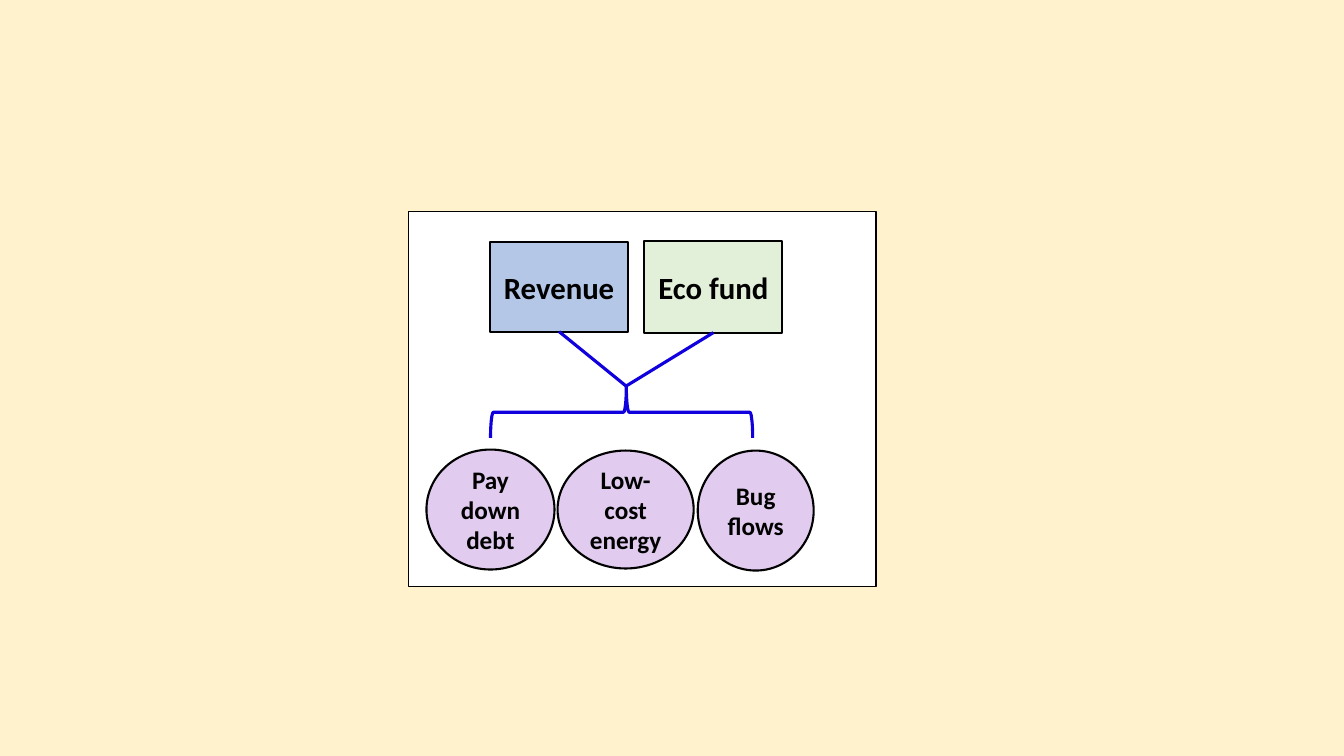
import pptx
import pptx.util
import pptx.dml.color
import pptx.enum.shapes
import pptx.enum.text
import pptx.oxml.ns
from lxml import etree

RGB = pptx.dml.color.RGBColor
KIND = pptx.enum.shapes.MSO_SHAPE
CREAM = RGB(0xFF, 0xF2, 0xCC)
WHITE = RGB(0xFF, 0xFF, 0xFF)
BLACK = RGB(0, 0, 0)
SKY = RGB(0xB4, 0xC7, 0xE7)
GREEN = RGB(0xE2, 0xF0, 0xD9)
LILAC = RGB(0xE1, 0xCC, 0xF0)
BLUE = RGB(0x10, 0x00, 0xDE)


class Chart:
    FONT = "Calibri"
    SCALE = 9144  # EMU per px, 100 px to the inch

    def __init__(self, slide):
        self.slide = slide

    @classmethod
    def px(cls, *sizes):
        return [pptx.util.Emu(size * cls.SCALE) for size in sizes]

    def ground(self, color):
        fill = self.slide.background.fill
        fill.solid()
        fill.fore_color.rgb = color

    def pen(self, item, color, width):
        item.line.color.rgb = color
        item.line.width = pptx.util.Pt(width)

    def shape(self, kind, place, fill=None, line=BLACK, width=1.5):
        item = self.slide.shapes.add_shape(kind, *self.px(*place))
        item.shadow.inherit = False
        if fill is None:
            item.fill.background()
        else:
            item.fill.solid()
            item.fill.fore_color.rgb = fill
        self.pen(item, line, width)
        return item

    def node(self, kind, place, fill, text, size):
        item = self.shape(kind, place, fill)
        frame = item.text_frame
        frame.word_wrap = True
        frame.vertical_anchor = pptx.enum.text.MSO_ANCHOR.MIDDLE
        para = frame.paragraphs[0]
        para.text = text
        para.alignment = pptx.enum.text.PP_ALIGN.CENTER
        font = para.font
        font.name = self.FONT
        font.size = pptx.util.Pt(size)
        font.bold = True
        font.color.rgb = BLACK
        return item

    def brace(self, place):
        item = self.shape(KIND.LEFT_BRACE, place, line=BLUE, width=2.25)
        item.rotation = 90
        item.adjustments[0] = 0.055
        item.adjustments[1] = 0.482

    def link(self, box, end):
        start = (box.left + box.width // 2, box.top + box.height)
        line = self.slide.shapes.add_connector(
            pptx.enum.shapes.MSO_CONNECTOR.STRAIGHT, *start, *self.px(*end))
        line.begin_connect(box, 2)
        self.pen(line, BLUE, 2.25)
        etree.SubElement(line._element.spPr, pptx.oxml.ns.qn("a:effectLst"))


def main():
    deck = pptx.Presentation()
    deck.slide_width, deck.slide_height = Chart.px(1333, 750)
    chart = Chart(deck.slides.add_slide(deck.slide_layouts[6]))

    # Background and panel
    chart.ground(CREAM)
    chart.shape(KIND.RECTANGLE, (405, 210, 464, 372), WHITE, width=1)

    # Sources of money
    boxes = [chart.node(KIND.RECTANGLE, place, fill, text, 22)
             for place, fill, text in (
                 ((486, 240, 137, 89), SKY, "Revenue"),
                 ((639, 239, 137, 91), GREEN, "Eco fund"))]

    # Uses of money
    for place, text in (((423, 446, 127, 119), "Pay down debt"),
                        ((553, 447, 135, 117), "Low-cost energy"),
                        ((692, 447, 115, 119), "Bug flows")):
        chart.node(KIND.OVAL, place, LILAC, text, 18)

    # Brace over the uses, joined to the sources
    chart.brace((591, 279, 51, 260))
    for box in boxes:
        chart.link(box, (621, 383))

    deck.save("out.pptx")


if __name__ == "__main__":
    main()
